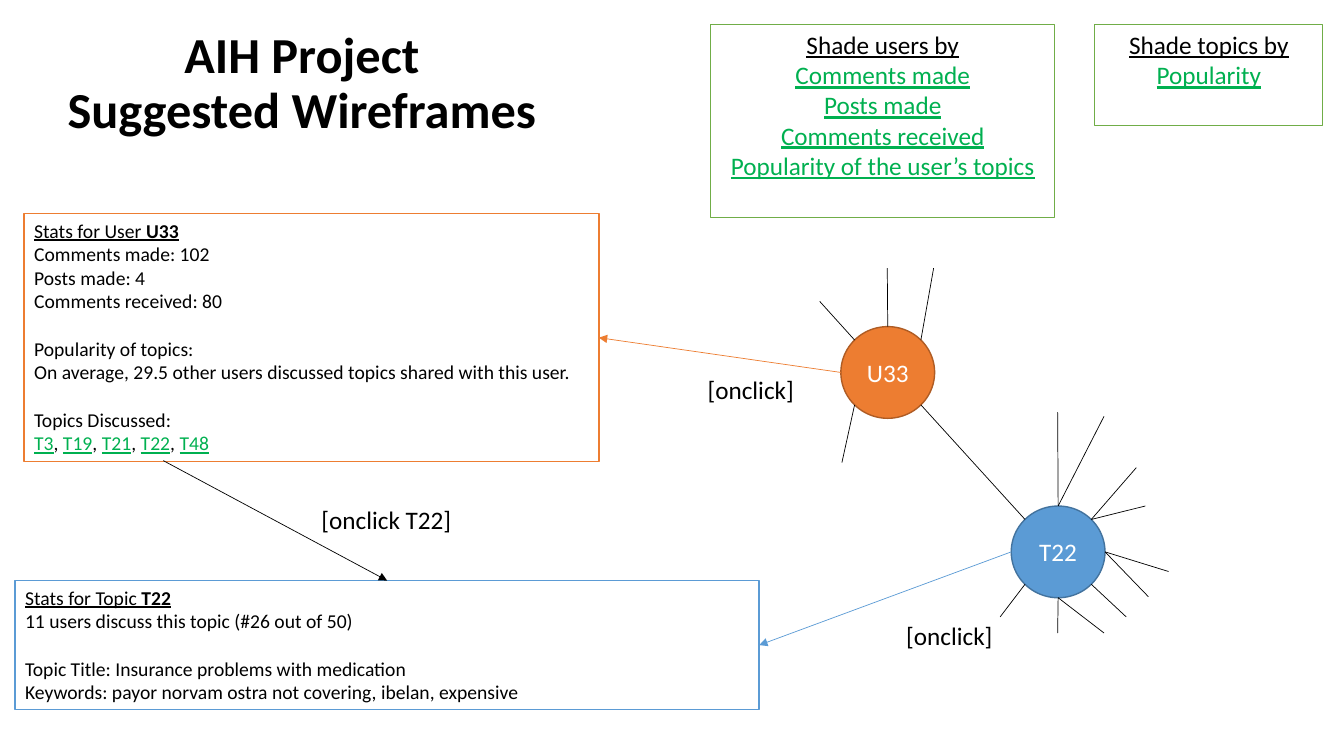
from dataclasses import dataclass
from math import cos, pi, sin

from lxml.etree import SubElement
from pptx import Presentation
from pptx.dml.color import RGBColor
from pptx.enum.shapes import MSO_CONNECTOR as Connector, MSO_SHAPE as Preset
from pptx.enum.text import MSO_ANCHOR as Anchor, MSO_AUTO_SIZE as AutoSize, PP_ALIGN as Align
from pptx.oxml.ns import qn
from pptx.util import Emu, Pt

COLORS = {
    "black": "000000", "white": "FFFFFF", "link": "00B050", "legend": "70AD47",
    "user": "ED7D31", "user_edge": "AF5C24", "topic": "5B9BD5", "topic_edge": "43739E",
}
FONT = "Calibri"
NODE_W, NODE_H = 93, 91
BLANK_LINE = 17


def px(length: float) -> Emu:
    """One px is a hundredth of an inch."""
    return Emu(round(length * 9144))


def color(name: str) -> RGBColor:
    return RGBColor.from_string(COLORS[name])


@dataclass
class Span:
    text: str
    ink: str = "black"
    bold: bool = False
    underline: bool = False


@dataclass
class Line:
    spans: list[Span]
    gap: int = 0


@dataclass
class Panel:
    left: int
    top: int
    width: int
    height: int
    edge: str
    lines: list[Line]
    weight: float = 1
    size: int = 14
    align: Align = Align.LEFT
    fill: str | None = "white"


@dataclass
class Node:
    name: str
    left: int
    top: int
    kind: str
    spokes: list[tuple[int, int, int]]  # site, end x, end y

    def site(self, index: int) -> tuple[float, float]:
        """Point on the rim, in eighths of a turn clockwise from the right."""
        angle = index * pi / 4
        return (self.left + NODE_W / 2 * (1 + cos(angle)),
                self.top + NODE_H / 2 * (1 + sin(angle)))


def heading(text: str, name: str) -> Line:
    return Line([Span(text, underline=True), Span(name, bold=True, underline=True)])


def plain(text: str, gap: int = 0) -> Line:
    return Line([Span(text)], gap)


def legend(title: str, options: list[str]) -> list[Line]:
    return [Line([Span(title, underline=True)]),
            *[Line([Span(option, "link", underline=True)]) for option in options]]


def write(para, text: str, *, size: int, ink: str = "black",
          bold: bool = False, underline: bool = False) -> None:
    span = para.add_run()
    span.text = text
    span.font.name = FONT
    span.font.size = Pt(size)
    span.font.bold = bold
    span.font.underline = underline
    span.font.color.rgb = color(ink)


def add_outlined(page, preset: Preset, frame: tuple, fill: str | None, edge: str, weight: float):
    shape = page.shapes.add_shape(preset, *map(px, frame))
    shape.shadow.inherit = False
    if fill:
        shape.fill.solid()
        shape.fill.fore_color.rgb = color(fill)
    else:
        shape.fill.background()
    shape.line.color.rgb = color(edge)
    shape.line.width = Pt(weight)
    return shape


def add_panel(page, panel: Panel):
    frame = (panel.left, panel.top, panel.width, panel.height)
    box = add_outlined(page, Preset.RECTANGLE, frame, panel.fill, panel.edge, panel.weight)
    text_frame = box.text_frame
    text_frame.word_wrap = True
    text_frame.vertical_anchor = Anchor.TOP
    for number, line in enumerate(panel.lines):
        para = text_frame.add_paragraph() if number else text_frame.paragraphs[0]
        para.alignment = panel.align
        para.space_before = Pt(line.gap)
        for span in line.spans:
            write(para, span.text, size=panel.size, ink=span.ink,
                  bold=span.bold, underline=span.underline)
    return box


def add_line(page, start: tuple, end: tuple, ink: str = "black", arrow: bool = False):
    line = page.shapes.add_connector(Connector.STRAIGHT, *map(px, (*start, *end)))
    line.line.color.rgb = color(ink)
    line.line.width = Pt(0.5)
    if arrow:
        SubElement(line.line._get_or_add_ln(), qn("a:tailEnd"), type="triangle")
    SubElement(line._element.spPr, qn("a:effectLst"))
    return line


def add_node(page, node: Node) -> None:
    frame = (node.left, node.top, NODE_W, NODE_H)
    circle = add_outlined(page, Preset.OVAL, frame, node.kind, f"{node.kind}_edge", 1)
    circle.text_frame.vertical_anchor = Anchor.MIDDLE
    para = circle.text_frame.paragraphs[0]
    para.alignment = Align.CENTER
    write(para, node.name, size=18, ink="white")
    for index, x, y in node.spokes:
        add_line(page, node.site(index), (x, y))


def add_label(page, text: str, left: int, top: int, width: int) -> None:
    box = page.shapes.add_textbox(*map(px, (left, top, width, 40)))
    box.text_frame.word_wrap = False
    box.text_frame.auto_size = AutoSize.SHAPE_TO_FIT_TEXT
    write(box.text_frame.paragraphs[0], text, size=18)


def add_title(page, lines: list[str]) -> None:
    title = page.shapes.title
    title.left, title.top, title.width, title.height = map(px, (47, 5, 505, 138))
    title.text_frame.vertical_anchor = Anchor.BOTTOM
    title.text_frame.auto_size = AutoSize.NONE
    para = title.text_frame.paragraphs[0]
    para.alignment = Align.CENTER
    para.line_spacing = 0.9
    for number, text in enumerate(lines):
        if number:
            para.add_line_break()
        write(para, text, size=36, bold=True)


TOPICS = ["T3", "T19", "T21", "T22", "T48"]
topic_links = [Span(TOPICS[0], "link", underline=True)]
for topic in TOPICS[1:]:
    topic_links += [Span(", "), Span(topic, "link", underline=True)]

USER_STATS = Panel(24, 212, 570, 246, "user", [
    heading("Stats for User ", "U33"),
    plain("Comments made: 102"),
    plain("Posts made: 4"),
    plain("Comments received: 80"),
    plain("Popularity of topics:", BLANK_LINE),
    plain("On average, 29.5 other users discussed topics shared with this user."),
    plain("Topics Discussed:", BLANK_LINE),
    Line(topic_links),
])
TOPIC_STATS = Panel(15, 576, 738, 128, "topic", [
    heading("Stats for Topic ", "T22"),
    plain("11 users discuss this topic (#26 out of 50)"),
    plain("Topic Title: Insurance problems with medication", BLANK_LINE),
    plain("Keywords: payor norvam ostra not covering, ibelan, expensive"),
])
LEGENDS = [
    Panel(705, 24, 341, 192, "legend", legend("Shade users by", [
        "Comments made", "Posts made", "Comments received", "Popularity of the user’s topics",
    ]), 0.75, 18, Align.CENTER, None),
    Panel(1086, 24, 226, 101, "legend", legend("Shade topics by", ["Popularity"]),
          0.75, 18, Align.CENTER, None),
]
USER = Node("U33", 834, 324, "user",
            [(6, 880, 266), (5, 813, 299), (7, 926, 266), (3, 835, 459)])
TOPIC = Node("T22", 1003, 502, "topic", [
    (2, 1095, 628), (6, 1095, 413), (6, 1049, 409), (0, 1159, 567), (0, 1139, 592),
    (1, 1117, 612), (2, 1049, 628), (7, 1136, 502), (3, 992, 612), (7, 1127, 464),
])


def main() -> None:
    deck = Presentation()
    deck.slide_width, deck.slide_height = px(1333), px(750)
    page = deck.slides.add_slide(deck.slide_layouts[5])
    add_title(page, ["AIH Project", "Suggested Wireframes"])

    # Panels and network
    user_box, topic_box = add_panel(page, USER_STATS), add_panel(page, TOPIC_STATS)
    for panel in LEGENDS:
        add_panel(page, panel)
    for node in (USER, TOPIC):
        add_node(page, node)
    add_line(page, USER.site(1), TOPIC.site(5))

    # Click arrows
    for start, box, side, ink in (
        (USER.site(4), user_box, 3, "user"),
        (TOPIC.site(4), topic_box, 3, "topic"),
        ((162, 457), topic_box, 0, "black"),
    ):
        add_line(page, start, start, ink, arrow=True).end_connect(box, side)
    for label in (("[onclick]", 692, 366, 107), ("[onclick]", 889, 611, 107),
                  ("[onclick T22]", 309, 495, 150)):
        add_label(page, *label)
    deck.save("out.pptx")


if __name__ == "__main__":
    main()
